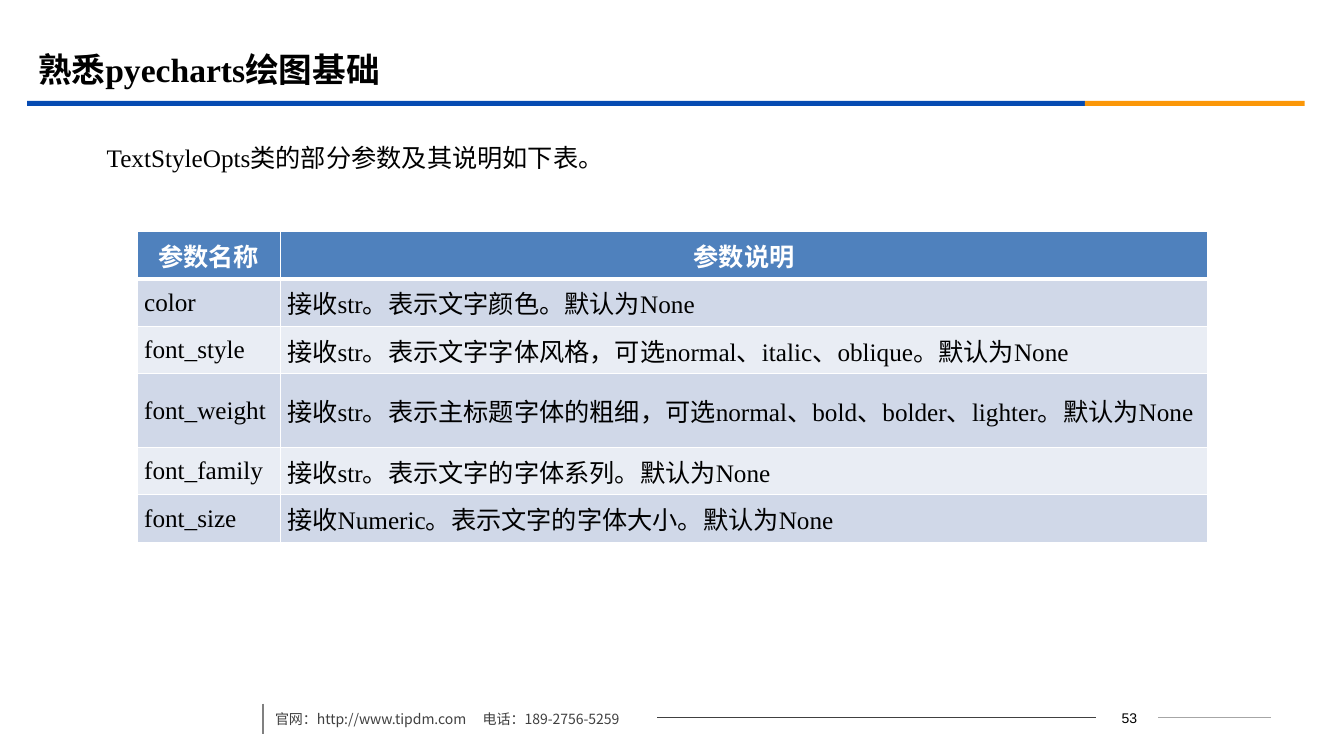
import pptx
import pptx.util
import pptx.dml.color
import pptx.enum.shapes
import pptx.enum.text
import pptx.oxml
import pptx.oxml.ns
from dataclasses import dataclass

Inches = pptx.util.Inches
Pt = pptx.util.Pt
ALIGN = pptx.enum.text.PP_ALIGN
ANCHOR = pptx.enum.text.MSO_ANCHOR

TITLE = "熟悉pyecharts绘图基础"
INTRO = "TextStyleOpts类的部分参数及其说明如下表。"
FOOTER = "官网：http://www.tipdm.com\t电话：189-2756-5259"
PAGE_NUMBER = "53"
PARAMETERS = [
    ("参数名称", "参数说明"),
    ("color", "接收str。表示文字颜色。默认为None"),
    ("font_style", "接收str。表示文字字体风格，可选normal、italic、oblique。默认为None"),
    ("font_weight", "接收str。表示主标题字体的粗细，可选normal、bold、bolder、lighter。默认为None"),
    ("font_family", "接收str。表示文字的字体系列。默认为None"),
    ("font_size", "接收Numeric。表示文字的字体大小。默认为None"),
]


@dataclass(frozen=True)
class Theme:
    serif: str = "Times New Roman"
    sans: str = "Arial"
    chinese: str = "Noto Sans CJK SC"
    title_size: int = 24
    body_size: int = 18
    footer_size: int = 10
    black: str = "000000"
    white: str = "FFFFFF"
    blue: str = "064BB2"
    orange: str = "FB9708"
    footer_text: str = "404040"
    footer_rule: str = "404040"
    short_rule: str = "A6A6A6"
    divider: str = "808080"
    header_fill: str = "4F81BD"
    bands: tuple = ("D0D8E8", "E9EDF4")


THEME = Theme()
TITLE_BARS = [(0.27, 10.49, THEME.blue), (10.76, 2.18, THEME.orange)]
FOOTER_LINES = [
    ((11.49, 7.12), (12.61, 7.12), THEME.short_rule, 0.75),
    ((6.52, 7.12), (10.87, 7.12), THEME.footer_rule, 0.75),
    ((2.61, 6.98), (2.61, 7.28), THEME.divider, 1.25),
]
COLUMN_WIDTHS = (1.42, 9.2)
ROW_HEIGHT = 0.47
TWO_LINE_HEIGHT = 0.73
ROW_HEIGHTS = [TWO_LINE_HEIGHT if name == "font_weight" else ROW_HEIGHT
               for name, _ in PARAMETERS]


def rgb(value):
    return pptx.dml.color.RGBColor.from_string(value)


def write(text_frame, text, font, size, color, bold=False, align=ALIGN.LEFT):
    text_frame.text = text
    paragraph = text_frame.paragraphs[0]
    paragraph.alignment = align
    for run in paragraph.runs:
        run.font.name = font
        run.font.size = Pt(size)
        run.font.bold = bold
        run.font.color.rgb = rgb(color)
        east_asian = pptx.oxml.parse_xml(
            f'<a:ea {pptx.oxml.ns.nsdecls("a")} typeface="{THEME.chinese}"/>')
        run.font._element.find(pptx.oxml.ns.qn("a:latin")).addnext(east_asian)
    return paragraph


def add_text(slide, box, *content, anchor=ANCHOR.TOP, **style):
    text_frame = slide.shapes.add_textbox(*map(Inches, box)).text_frame
    text_frame.word_wrap = True
    text_frame.vertical_anchor = anchor
    return write(text_frame, *content, **style)


def add_bar(slide, left, width, color):
    bar = slide.shapes.add_shape(
        pptx.enum.shapes.MSO_SHAPE.RECTANGLE,
        Inches(left), Inches(1), Inches(width), Inches(0.05))
    bar.shadow.inherit = False
    bar.fill.solid()
    bar.fill.fore_color.rgb = rgb(color)
    bar.line.fill.background()


def add_line(slide, start, end, color, width):
    line = slide.shapes.add_connector(
        pptx.enum.shapes.MSO_CONNECTOR.STRAIGHT, *map(Inches, start + end))
    line.line.color.rgb = rgb(color)
    line.line.width = Pt(width)
    line._element.spPr.append(
        pptx.oxml.parse_xml(f'<a:effectLst {pptx.oxml.ns.nsdecls("a")}/>'))


def add_borders(cell, bottom_width):
    """Put white borders before the cell's fill, as the schema orders them."""
    properties = cell._tc.get_or_add_tcPr()
    widths = {"L": 1, "R": 1, "T": 1, "B": bottom_width}
    for position, (side, width) in enumerate(widths.items()):
        properties.insert(position, pptx.oxml.parse_xml(
            f'<a:ln{side} {pptx.oxml.ns.nsdecls("a")} w="{Pt(width)}">'
            f'<a:solidFill><a:srgbClr val="{THEME.white}"/></a:solidFill></a:ln{side}>'))


def add_parameter_table(slide):
    table = slide.shapes.add_table(
        len(PARAMETERS), len(COLUMN_WIDTHS), Inches(1.36), Inches(2.3),
        Inches(sum(COLUMN_WIDTHS)), Inches(sum(ROW_HEIGHTS))).table
    for column, width in zip(table.columns, COLUMN_WIDTHS):
        column.width = Inches(width)
    for row, height in zip(table.rows, ROW_HEIGHTS):
        row.height = Inches(height)
    for row_index, values in enumerate(PARAMETERS):
        header = row_index == 0
        fill = THEME.header_fill if header else THEME.bands[(row_index - 1) % 2]
        for column_index, value in enumerate(values):
            cell = table.cell(row_index, column_index)
            cell.margin_left = cell.margin_right = Inches(0.07)
            cell.margin_top = cell.margin_bottom = 0
            cell.vertical_anchor = ANCHOR.MIDDLE
            cell.fill.solid()
            cell.fill.fore_color.rgb = rgb(fill)
            add_borders(cell, 3 if header else 1)
            write(cell.text_frame, value, THEME.serif, THEME.body_size,
                  THEME.white if header else THEME.black, bold=header,
                  align=ALIGN.CENTER if header else ALIGN.LEFT)


def add_footer(slide):
    add_text(slide, (10.89, 6.99, 0.62, 0.25), PAGE_NUMBER, THEME.sans,
             THEME.footer_size, THEME.black, align=ALIGN.CENTER)
    for line in FOOTER_LINES:
        add_line(slide, *line)
    contact = add_text(slide, (2.63, 6.92, 5.36, 0.35), FOOTER, THEME.chinese,
                       THEME.footer_size, THEME.footer_text)
    contact.line_spacing = 1.5
    contact._p.get_or_add_pPr().append(pptx.oxml.parse_xml(
        f'<a:tabLst {pptx.oxml.ns.nsdecls("a")}>'
        f'<a:tab pos="{Inches(2.06)}" algn="l"/></a:tabLst>'))


def main():
    presentation = pptx.Presentation()
    presentation.slide_width = Inches(13.33)
    presentation.slide_height = Inches(7.5)
    slide = presentation.slides.add_slide(presentation.slide_layouts[6])
    for bar in TITLE_BARS:
        add_bar(slide, *bar)
    add_footer(slide)
    intro = add_text(slide, (0.46, 1.21, 12.15, 5.53), INTRO, THEME.serif,
                     THEME.body_size, THEME.black)
    intro.line_spacing = 1.5
    intro._p.get_or_add_pPr().set("indent", str(Inches(0.5)))
    add_text(slide, (0.28, 0.39, 12, 0.58), TITLE, THEME.serif,
             THEME.title_size, THEME.black, bold=True, anchor=ANCHOR.MIDDLE)
    add_parameter_table(slide)
    presentation.save("out.pptx")


if __name__ == "__main__":
    main()
